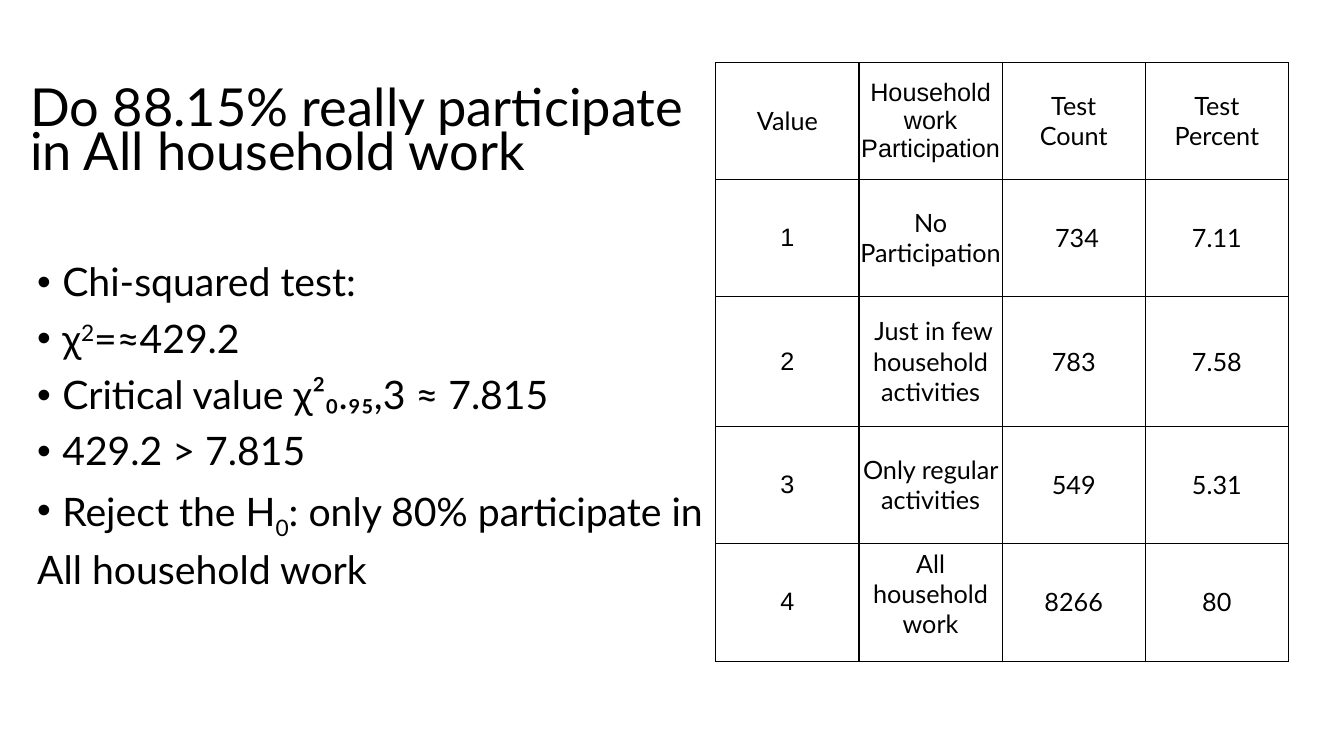
import pptx
import pptx.util
import pptx.dml.color
import pptx.enum.text
import pptx.oxml
from dataclasses import dataclass

PX = 9144  # EMU in one px, 100 px to the inch


@dataclass
class Theme:
    ink: pptx.dml.color.RGBColor = pptx.dml.color.RGBColor(0, 0, 0)
    main: str = "Lato"
    alt: str = "Arial"
    head: float = 37.4
    body: int = 28
    cell: int = 18
    rule: float = 0.96


theme = Theme()
NS = 'xmlns:a="http://schemas.openxmlformats.org/drawingml/2006/main"'


def px(*vals):
    return [pptx.util.Emu(v * PX) for v in vals]


def style(par, size, face=theme.main):
    par.font.size = pptx.util.Pt(size)
    par.font.name = face
    par.font.color.rgb = theme.ink


deck = pptx.Presentation()
deck.slide_width, deck.slide_height = px(1333, 750)
slide = deck.slides.add_slide(deck.slide_layouts[5])

# Title
title = slide.shapes.title
title.left, title.top, title.width, title.height = px(20, 62, 689, 145)
frame = title.text_frame
frame.text = "Do 88.15% really participate in All household work"
frame.word_wrap = True
frame.auto_size = pptx.enum.text.MSO_AUTO_SIZE.NONE
frame.vertical_anchor = pptx.enum.text.MSO_ANCHOR.MIDDLE
par = frame.paragraphs[0]
par.alignment = pptx.enum.text.PP_ALIGN.LEFT
par.line_spacing = 0.7
style(par, theme.head)

# Table of test counts
rows = [
    ["Value", "Household work Participation", "Test\nCount", "Test\nPercent"],
    ["1", "No Participation", " 734", "7.11"],
    ["2", " Just in few household activities", "783", "7.58"],
    ["3", "Only regular activities", "549", "5.31"],
    ["4", "All household work", "8266", "80"],
]
tall = [116, 116, 129, 116, 116]
wide = [142] * 4
grid = slide.shapes.add_table(
    len(rows), len(wide), *px(710, 62, sum(wide), sum(tall))).table
grid.first_row = grid.horz_banding = False
for col, width in zip(grid.columns, px(*wide)):
    col.width = width
for row, height in zip(grid.rows, px(*tall)):
    row.height = height

for r, row in enumerate(rows):
    for c, text in enumerate(row):
        cell = grid.cell(r, c)
        cell.text = text
        cell.vertical_anchor = pptx.enum.text.MSO_ANCHOR.MIDDLE
        # The last label sits a little higher than its neighbours
        foot = 22 if (r, c) == (4, 1) else 5
        (cell.margin_left, cell.margin_top,
         cell.margin_right, cell.margin_bottom) = px(1, 5, 1, foot)
        cell.fill.background()
        face = theme.alt if (r == 0) == (c == 1) and c < 2 else theme.main
        for par in cell.text_frame.paragraphs:
            par.alignment = pptx.enum.text.PP_ALIGN.CENTER
            style(par, theme.cell, face)
        # Cell borders
        props = cell._tc.get_or_add_tcPr()
        for n, side in enumerate("LRTB"):
            props.insert(n, pptx.oxml.parse_xml(
                f'<a:ln{side} {NS} w="{pptx.util.Pt(theme.rule)}"><a:solidFill>'
                f'<a:srgbClr val="{theme.ink}"/></a:solidFill></a:ln{side}>'))

# Test result: each line is a list of (text, baseline shift in percent)
lines = [
    [("Chi-squared test:", 0)],
    [("χ", 0), ("2", 30), ("=≈429.2", 0)],
    [("Critical value χ²₀.₉₅,3 ≈ 7.815", 0)],
    [("429.2 > 7.815", 0)],
    [("Reject the H", 0), ("0", -25), (": only 80% participate in", 0)],
    [("All household work", 0)],
]
frame = slide.shapes.add_textbox(*px(27, 256, 1214, 420)).text_frame
frame.word_wrap = True
for n, line in enumerate(lines):
    par = frame.add_paragraph() if n else frame.paragraphs[0]
    par.line_spacing = 0.9
    par.space_before = pptx.util.Pt(10)
    style(par, theme.body)
    for text, shift in line:
        run = par.add_run()
        run.text = text
        if shift:
            run._r.get_or_add_rPr().set("baseline", str(shift * 1000))
    # The last line runs on without a bullet
    if n < len(lines) - 1:
        props = par._p.get_or_add_pPr()
        props.set("marL", str(25 * PX))
        props.set("indent", str(-25 * PX))
        marks = [f'<a:buClr {NS}><a:srgbClr val="{theme.ink}"/></a:buClr>',
                 f'<a:buFont {NS} typeface="{theme.alt}"/>',
                 f'<a:buChar {NS} char="•"/>']
        spot = props.index(props.find(pptx.oxml.ns.qn("a:defRPr")))
        for k, mark in enumerate(marks):
            props.insert(spot + k, pptx.oxml.parse_xml(mark))

deck.save("out.pptx")
